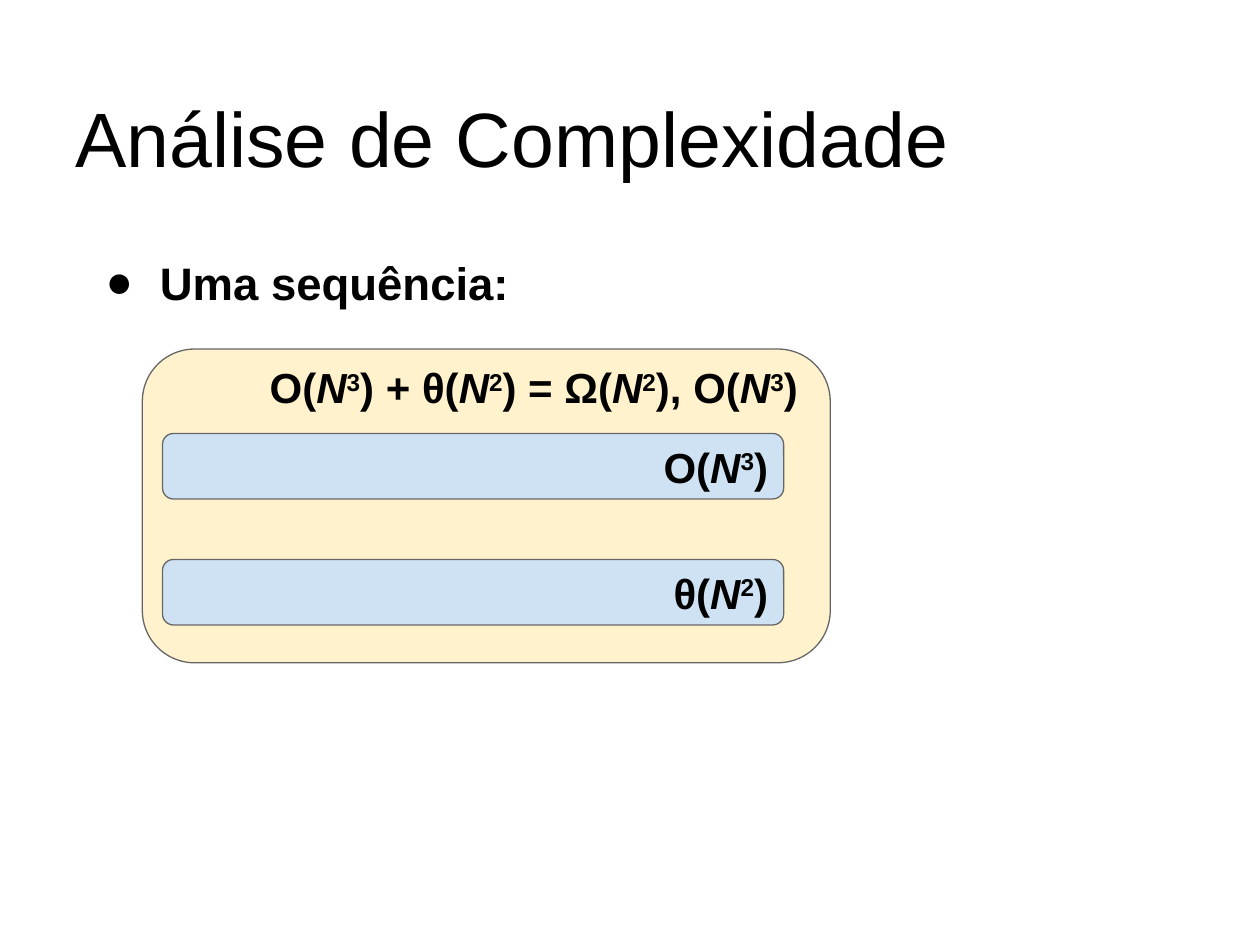
from lxml import etree
from pptx import Presentation
from pptx.dml.color import RGBColor
from pptx.enum import shapes, text
from pptx.oxml.ns import qn
from pptx.util import Inches, Pt

# Content: formulas alternate plain text and the exponent of N
TITLE = "Análise de Complexidade"
POINT = "Uma sequência:"
TOTAL = ["O(", "3", ") + θ(", "2", ") = Ω(", "2", "), O(", "3", ")"]
STEPS = [["O(", "3", ")"], ["θ(", "2", ")"]]

FONT = "Arial"
COLORS = {"ink": "000000", "line": "666666", "block": "FFF2CC", "step": "CFE2F3"}


def color(name):
    return RGBColor.from_string(COLORS[name])


def add_run(para, words, size, bold=False, italic=False):
    run = para.add_run()
    run.text = words
    font = run.font
    font.name, font.size = FONT, Pt(size)
    font.bold, font.italic = bold, italic
    font.color.rgb = color("ink")
    return run


def set_frame(shape, anchor):
    frame = shape.text_frame
    frame.word_wrap = True
    frame.vertical_anchor = anchor
    frame.margin_left = frame.margin_right = Inches(0.1)
    frame.margin_top = frame.margin_bottom = Inches(0.1)
    return frame.paragraphs[0]


def add_text(box, anchor=text.MSO_ANCHOR.TOP):
    shape = slide.shapes.add_textbox(*map(Inches, box))
    return set_frame(shape, anchor)


def add_card(box, fill):
    card = slide.shapes.add_shape(
        shapes.MSO_SHAPE.ROUNDED_RECTANGLE, *map(Inches, box))
    card.shadow.inherit = False
    card.fill.solid()
    card.fill.fore_color.rgb = color(fill)
    card.line.color.rgb = color("line")
    card.line.width = Pt(0.75)
    return card


def add_formula(para, parts):
    para.alignment = text.PP_ALIGN.RIGHT
    for i, part in enumerate(parts):
        if i % 2:
            add_run(para, "N", 24, bold=True, italic=True)
            power = add_run(para, part, 24, bold=True)
            power.font._element.set("baseline", "30000")
        else:
            add_run(para, part, 24, bold=True)


def add_bullet(para):
    props = para._p.get_or_add_pPr()
    props.set("marL", str(Inches(0.5)))
    props.set("indent", str(Inches(-0.43)))
    tint = etree.SubElement(props, qn("a:buClr"))
    etree.SubElement(tint, qn("a:srgbClr"), val=COLORS["ink"])
    etree.SubElement(props, qn("a:buFont"), typeface=FONT)
    etree.SubElement(props, qn("a:buChar"), char="●")


deck = Presentation()
deck.slide_width, deck.slide_height = Inches(10), Inches(7.5)
slide = deck.slides.add_slide(deck.slide_layouts[6])

# Outer block
add_card((1.13, 2.77, 5.46, 2.49), "block")

# Title and bullet
add_run(add_text((0.5, 0.3, 9, 1.25), text.MSO_ANCHOR.BOTTOM), TITLE, 44)
point = add_text((0.67, 1.92, 9, 0.71))
add_bullet(point)
add_run(point, POINT, 26, bold=True)

# Steps, one inch apart
for i, parts in enumerate(STEPS):
    card = add_card((1.29, 3.44 + i, 4.93, 0.52), "step")
    add_formula(set_frame(card, text.MSO_ANCHOR.MIDDLE), parts)

# Total cost
add_formula(add_text((1.79, 2.77, 4.64, 0.52)), TOTAL)

deck.save("out.pptx")
